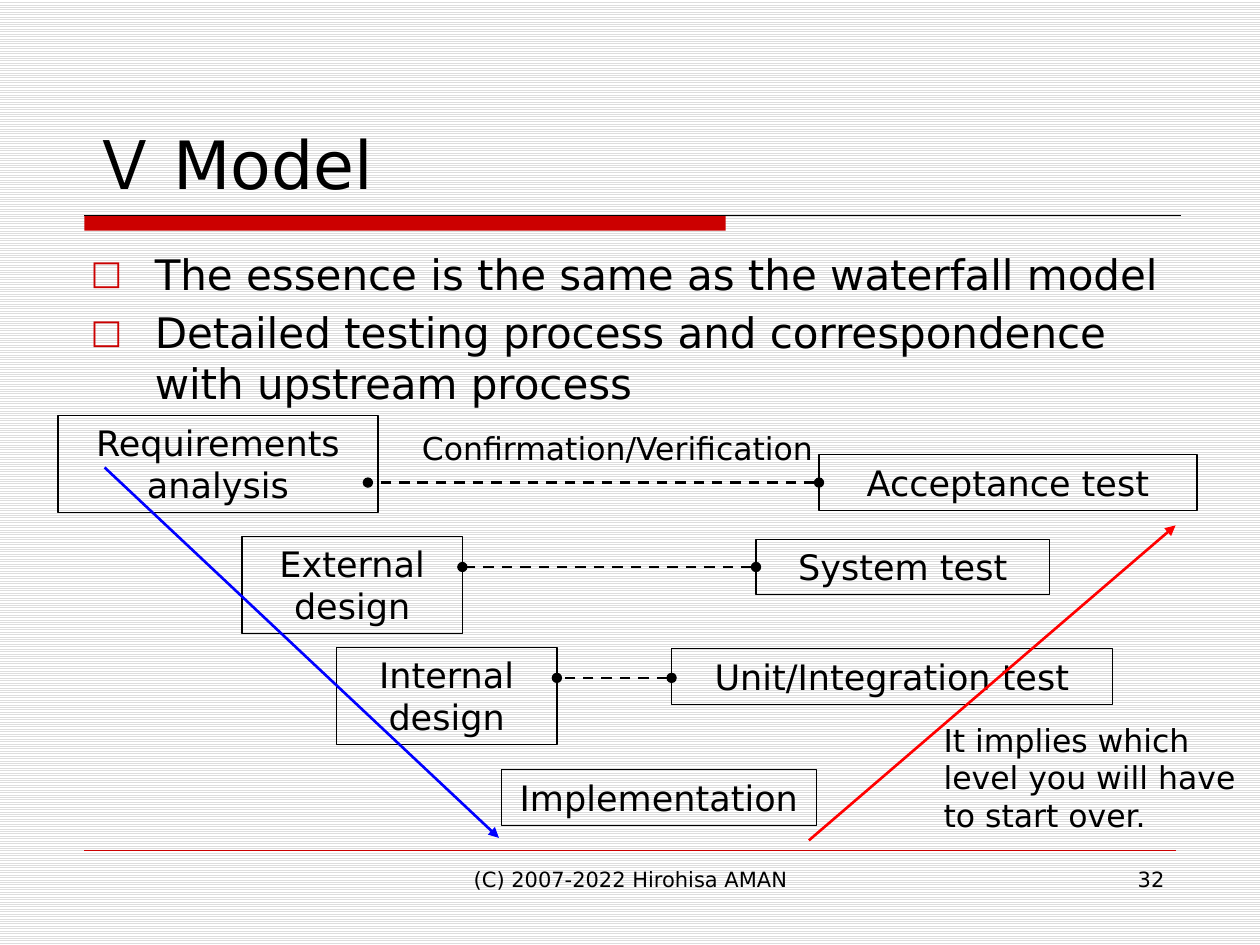
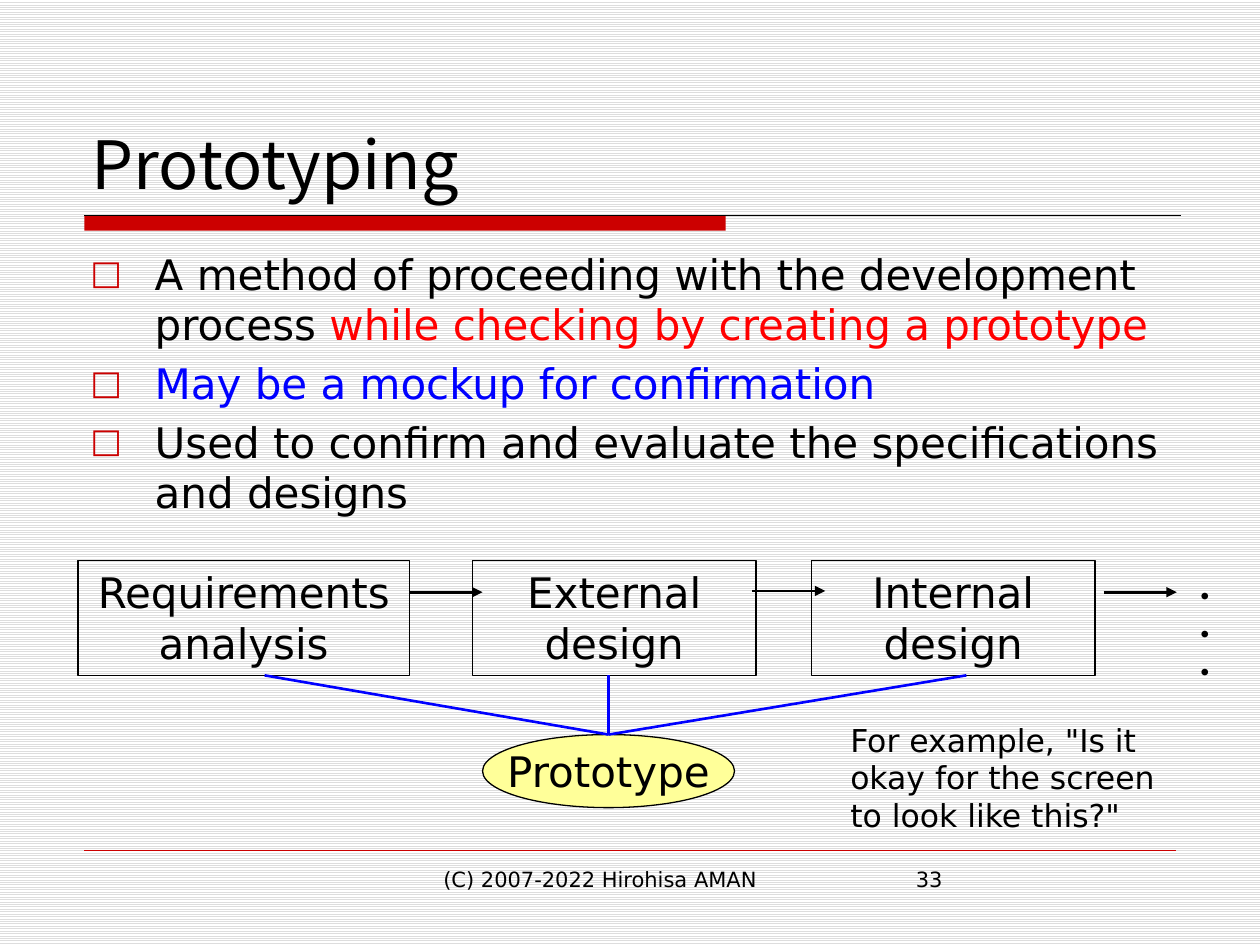
"""Build two slides on the V model and on prototyping."""
from lxml import etree
from pptx import Presentation
from pptx.dml.color import RGBColor
from pptx.enum.dml import MSO_LINE, MSO_PATTERN
from pptx.enum.shapes import MSO_CONNECTOR, MSO_SHAPE
from pptx.enum.text import MSO_ANCHOR, PP_ALIGN
from pptx.oxml.ns import qn
from pptx.util import Inches, Pt

BLACK = RGBColor(0, 0, 0)
WHITE = RGBColor(255, 255, 255)
STRIPE = RGBColor(0xDD, 0xDD, 0xDD)
CRIMSON = RGBColor(0xCC, 0, 0)
RED = RGBColor(255, 0, 0)
BLUE = RGBColor(0, 0, 255)
YELLOW = RGBColor(0xFF, 0xFF, 0x99)
FONT, CJK_FONT = "DejaVu Sans", "Noto Sans CJK JP"
LEFT, CENTER, RIGHT = PP_ALIGN.LEFT, PP_ALIGN.CENTER, PP_ALIGN.RIGHT
TOP, MIDDLE, BOTTOM = MSO_ANCHOR.TOP, MSO_ANCHOR.MIDDLE, MSO_ANCHOR.BOTTOM
RECTANGLE, OVAL = MSO_SHAPE.RECTANGLE, MSO_SHAPE.OVAL
STRAIGHT, DASH = MSO_CONNECTOR.STRAIGHT, MSO_LINE.DASH
COPYRIGHT = "(C) 2007-2022 Hirohisa AMAN"

V_POINTS = [
    [("The essence is the same as the waterfall model", BLACK)],
    [("Detailed testing process and correspondence with upstream process", BLACK)],
]
V_STEPS = [
    ("Requirements analysis", (0.46, 3.3, 2.54, 0.77)),
    ("External design", (1.92, 4.26, 1.75, 0.77)),
    ("Internal design", (2.67, 5.14, 1.75, 0.77)),
    ("Implementation", (3.98, 6.11, 2.5, 0.44)),
    ("Unit/Integration test", (5.33, 5.15, 3.5, 0.44)),
    ("System test", (6, 4.28, 2.33, 0.44)),
    ("Acceptance test", (6.5, 3.61, 3, 0.44)),
]
V_ARMS = [((0.83, 3.71), (3.96, 6.65), BLUE), ((6.42, 6.67), (9.33, 4.17), RED)]
V_CHECKS = [(5.33, 4.42, 5.38), (6, 3.67, 4.5), (6.5, 2.92, 3.83)]
V_NOTES = [
    ("Confirmation/Verification", (3.25, 3.36, 3.36, 0.4), False),
    ("It implies which level you will have to start over.", (7.39, 5.67, 2.58, 1.01), True),
]

PROTOTYPE_POINTS = [
    [("A method of proceeding with the development process ", BLACK),
     ("while checking by creating a prototype", RED)],
    [("May be a mockup for confirmation", BLUE)],
    [("Used to confirm and evaluate the specifications and designs", BLACK)],
]
PROTOTYPE_STEPS = [
    ("Requirements analysis", 0.62, 2.63),
    ("External design", 3.75, 2.25),
    ("Internal design", 6.44, 2.25),
]
STEP_TOP, STEP_HEIGHT = 4.45, 0.91
STEP_ARROWS = [(3.25, 4.7), (5.97, 4.69), (8.76, 4.7)]
ARROW_LENGTH = 0.58
PROTOTYPE_LINKS = [2.1, 4.83, 7.67]
PROTOTYPE_PEAK = (4.83, 5.83)
PROTOTYPE_NOTES = [
    ("・・・", (9.34, 4.53, 0.58, 0.4), True),
    ('For example, "Is it okay for the screen to look like this?"',
     (6.65, 5.67, 2.73, 1.01), True),
]


def write(box, text, size=18, color=BLACK, font=FONT, align=LEFT, anchor=TOP,
          wrap=True, bullet=False):
    """Fill a box with a string, or with paragraphs of (text, colour) spans."""
    frame = box.text_frame
    frame.word_wrap = wrap
    frame.vertical_anchor = anchor
    paragraphs = [[(text, color)]] if isinstance(text, str) else text
    for index, spans in enumerate(paragraphs):
        para = frame.add_paragraph() if index else frame.paragraphs[0]
        para.alignment = align
        if index:
            para.space_before = Pt(size * 0.2)
        if bullet:
            add_bullet(para)
        for words, span_color in spans:
            span = para.add_run()
            span.text = words
            span.font.size = Pt(size)
            span.font.name = font
            span.font.color.rgb = span_color
            etree.SubElement(span.font._element, qn("a:ea"), typeface=CJK_FONT)


def add_bullet(para):
    """Give a paragraph a hanging square bullet."""
    properties = para._p.get_or_add_pPr()
    properties.set("marL", str(Inches(0.51)))
    properties.set("indent", str(-Inches(0.51)))
    tint = etree.SubElement(properties, qn("a:buClr"))
    etree.SubElement(tint, qn("a:srgbClr"), val=str(CRIMSON))
    etree.SubElement(properties, qn("a:buSzPct"), val="80000")
    etree.SubElement(properties, qn("a:buFont"), typeface=FONT)
    etree.SubElement(properties, qn("a:buChar"), char="□")


def add_text(page, text, place, **style):
    """Place a text box."""
    write(page.shapes.add_textbox(*map(Inches, place)), text, **style)


def add_shape(page, kind, place, fill=None, line=BLACK):
    """Place a flat preset shape."""
    shape = page.shapes.add_shape(kind, *map(Inches, place))
    shape.shadow.inherit = False
    if fill is None:
        shape.fill.background()
    else:
        shape.fill.solid()
        shape.fill.fore_color.rgb = fill
    if line is None:
        shape.line.fill.background()
    else:
        shape.line.color.rgb = line
        shape.line.width = Pt(0.75)
    return shape


def add_line(page, start, end, color=BLACK, width=1.5, dash=None, head=None, tail=None):
    """Draw a straight line with optional end marks."""
    line = page.shapes.add_connector(STRAIGHT, *map(Inches, (*start, *end)))
    line.line.color.rgb = color
    line.line.width = Pt(width)
    if dash is not None:
        line.line.dash_style = dash
    outline = line.line._get_or_add_ln()
    for tag, mark in (("a:headEnd", head), ("a:tailEnd", tail)):
        if mark:
            etree.SubElement(outline, qn(tag), type=mark)
    etree.SubElement(line._element.spPr, qn("a:effectLst"))


def add_page(deck, title, points, number, title_font=FONT, body_width=8.75,
             footer_align=LEFT, number_align=LEFT):
    """Add a page with the shared backdrop, title, bullets and footer."""
    page = deck.slides.add_slide(deck.slide_layouts[6])
    backdrop = page.background.fill
    backdrop.patterned()
    backdrop.pattern = MSO_PATTERN.LIGHT_HORIZONTAL
    backdrop.fore_color.rgb = STRIPE
    backdrop.back_color.rgb = WHITE
    add_shape(page, RECTANGLE, (0.67, 1.71, 5.09, 0.12), fill=CRIMSON, line=None)
    add_line(page, (0.67, 1.71), (9.37, 1.71), width=0.75)
    add_line(page, (0.67, 6.75), (9.33, 6.75), color=CRIMSON, width=0.25)
    add_text(page, COPYRIGHT, (3.42, 6.83, 3.17, 0.52), size=12, align=footer_align)
    add_text(page, number, (7.17, 6.83, 2.17, 0.52), size=12, align=number_align)
    add_text(page, title, (0.63, 0.33, 8.75, 1.33), size=38, font=title_font, anchor=BOTTOM)
    add_text(page, points, (0.62, 1.92, body_width, 4.67), size=24, bullet=True)
    return page


def add_v_model(deck):
    """Draw the V of development steps and matching tests."""
    page = add_page(deck, "Ｖ Model", V_POINTS, "32", footer_align=CENTER, number_align=RIGHT)
    for name, place in V_STEPS:
        write(add_shape(page, RECTANGLE, place), name, size=20, align=CENTER)
    for start, end, color in V_ARMS:
        add_line(page, start, end, color=color, tail="triangle")
    for test_x, design_x, y in V_CHECKS:
        add_line(page, (test_x, y), (design_x, y), dash=DASH, head="oval", tail="oval")
    for note, place, wrap in V_NOTES:
        add_text(page, note, place, wrap=wrap)


def add_prototyping(deck):
    """Draw the steps that share one prototype."""
    page = add_page(deck, "Prototyping", PROTOTYPE_POINTS, "33",
                    title_font=CJK_FONT, body_width=9.13)
    for name, left, width in PROTOTYPE_STEPS:
        step = add_shape(page, RECTANGLE, (left, STEP_TOP, width, STEP_HEIGHT))
        write(step, name, size=24, align=CENTER)
    for x, y in STEP_ARROWS:
        add_line(page, (x, y), (x + ARROW_LENGTH, y), tail="triangle")
    prototype = add_shape(page, OVAL, (3.83, 5.83, 2, 0.58), fill=YELLOW)
    write(prototype, "Prototype", size=24, align=CENTER, anchor=MIDDLE, wrap=False)
    for x in PROTOTYPE_LINKS:
        add_line(page, (x, STEP_TOP + STEP_HEIGHT), PROTOTYPE_PEAK, color=BLUE)
    for note, place, wrap in PROTOTYPE_NOTES:
        add_text(page, note, place, wrap=wrap)


def main():
    """Build and save the deck."""
    deck = Presentation()
    deck.slide_width, deck.slide_height = Inches(10), Inches(7.5)
    add_v_model(deck)
    add_prototyping(deck)
    deck.save("out.pptx")


if __name__ == "__main__":
    main()
